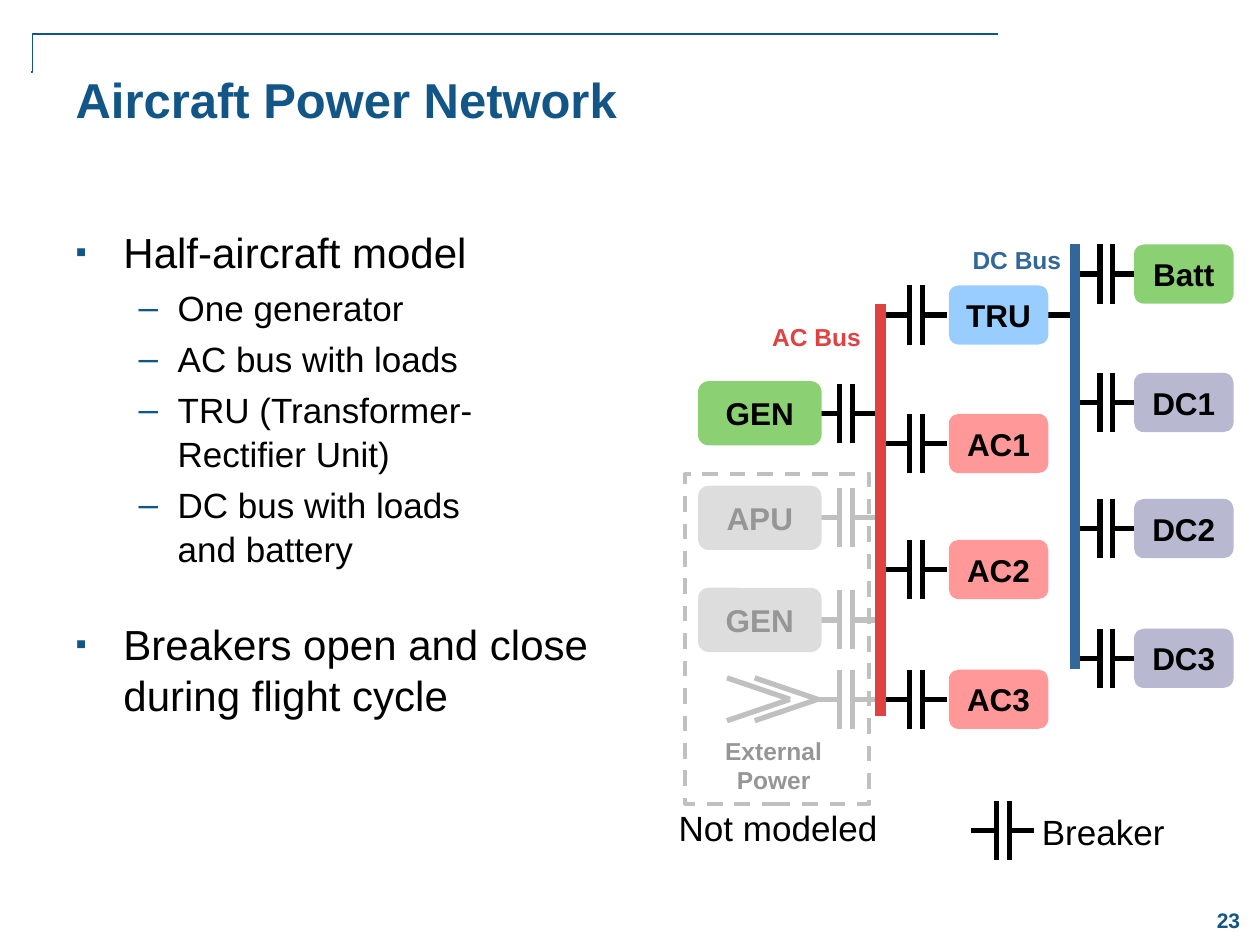
"""Build the aircraft power network slide on a grid of 100 columns by 75 rows."""
from dataclasses import dataclass
from typing import NamedTuple

from lxml.etree import SubElement
from pptx import Presentation
from pptx.dml.color import RGBColor
from pptx.enum.dml import MSO_LINE
from pptx.enum.shapes import MSO_CONNECTOR as Connector, MSO_SHAPE as Shape
from pptx.enum.text import MSO_ANCHOR as Anchor, MSO_AUTO_SIZE as AutoSize, PP_ALIGN as Align
from pptx.oxml.ns import qn
from pptx.util import Inches, Pt


@dataclass(frozen=True)
class Theme:
    font: str = "Arial"
    accent: str = "125687"
    ink: str = "000000"
    muted_line: str = "C0C0C0"
    muted_fill: str = "DDDDDD"
    muted_text: str = "969696"
    source: str = "8BD072"
    converter: str = "9ACDFF"
    ac_load: str = "FF9999"
    dc_load: str = "B8B8D0"
    ac_bus: str = "E04242"
    dc_bus: str = "336699"
    title: float = 28
    point: float = 24
    detail: float = 20
    unit: float = 18
    label: float = 14
    number: float = 12
    wire: float = 3
    bus: float = 6


class Area(NamedTuple):
    column: float
    row: float
    columns: float
    rows: float


class Unit(NamedTuple):
    name: str
    row: float
    fill: str
    ink: str = "000000"
    wire: str = "000000"


class Point(NamedTuple):
    words: str
    detail: bool = True
    before: float = 4


class Label(NamedTuple):
    words: str
    area: Area
    size: float
    color: str
    bold: bool = False
    align: Align = Align.LEFT


THEME = Theme()
COLUMNS, ROWS = 100, 75
TITLE_AREA = Area(5, 5, 88.3, 10.8)
BODY_AREA = Area(5, 17.5, 88.3, 50.8)
NUMBER_AREA = Area(95, 70.9, 5, 4.2)
UNMODELED_AREA = Area(54.4, 37.6, 14.6, 26.2)
LEAD, GAP, PLATE = 2, 1, 2.35
SOURCE_COLUMN, SOURCE_WIDTH, SOURCE_HEIGHT = 55.4, 9.8, 5.1
LOAD_WIDTH, LOAD_HEIGHT = 7.9, 4.7
SOURCE_BREAKER, AC_BREAKER, DC_BREAKER = 64.65, 70.2, 85.3
AC_COLUMN, DC_COLUMN = 75.3, 90
AC_BUS, DC_BUS = 69.9, 85.3
AC_ROWS = (25, 35.2, 45.2, 55.5)
DC_RISE = 3.25
EXTERNAL_ROW = AC_ROWS[-1]

POINTS = (
    Point("Half-aircraft model", False, 0),
    Point("One generator"),
    Point("AC bus with loads"),
    Point("TRU (Transformer-\vRectifier Unit)"),
    Point("DC bus with loads\vand battery"),
    Point("Breakers open and close\vduring flight cycle", False, 28),
)
MUTED = (THEME.muted_fill, THEME.muted_text, THEME.muted_line)
SOURCES = (
    Unit("GEN", 49.2, *MUTED),
    Unit("APU", 41.1, *MUTED),
    Unit("GEN", 32.8, THEME.source),
)
AC_UNITS = [
    Unit(name, row, THEME.converter if name == "TRU" else THEME.ac_load)
    for name, row in zip(("TRU", "AC1", "AC2", "AC3"), AC_ROWS)
]
DC_UNITS = [
    Unit(name, row - DC_RISE, THEME.source if name == "Batt" else THEME.dc_load)
    for name, row in zip(("Batt", "DC1", "DC2", "DC3"), AC_ROWS)
]
LABELS = (
    Label("23", NUMBER_AREA, THEME.number, THEME.accent, True, Align.CENTER),
    Label("Breaker", Area(81.7, 63.8, 11.8, 4.4), THEME.detail, THEME.ink),
    Label("External\vPower", Area(56.5, 57.9, 9.8, 5.7), THEME.label,
          THEME.muted_text, True, Align.CENTER),
    Label("Not modeled", Area(52.8, 63.5, 17.9, 4.4), THEME.detail, THEME.ink,
          False, Align.CENTER),
    Label("AC Bus", Area(60.3, 25, 9.1, 3.4), THEME.label, THEME.ac_bus, True),
    Label("DC Bus", Area(76.2, 18.9, 9.1, 3.4), THEME.label, THEME.dc_bus, True),
)

deck = Presentation()
deck.slide_width, deck.slide_height = Inches(10), Inches(7.5)
page = deck.slides.add_slide(deck.slide_layouts[1])


def grid(*lengths: float) -> list[int]:
    """Turn grid lengths into slide lengths."""
    return [round(deck.slide_width * length / COLUMNS) for length in lengths]


def style(para, size: float, color: str, bold: bool = False, align=Align.LEFT) -> None:
    """Format a paragraph and all its runs."""
    para.alignment = align
    for span in para.runs:
        span.font.name, span.font.size, span.font.bold = THEME.font, Pt(size), bold
        span.font.color.rgb = RGBColor.from_string(color)


def draw_line(start: tuple, end: tuple, color: str, width: float = THEME.wire,
              kind=Connector.STRAIGHT):
    """Draw a connector between two grid points."""
    line = page.shapes.add_connector(kind, *grid(*start, *end))
    line.line.color.rgb, line.line.width = RGBColor.from_string(color), Pt(width)
    SubElement(line._element.spPr, qn("a:effectLst"))
    return line


def draw_breaker(column: float, row: float, color: str) -> None:
    """Draw two leads and two plates from a left end."""
    for lead, plate in ((column, column + LEAD), (column + 2 * LEAD + GAP, column + LEAD + GAP)):
        draw_line((lead, row), (plate, row), color)
        draw_line((plate, row - PLATE), (plate, row + PLATE), color)


def draw_unit(unit: Unit, column: float, columns: float, rows: float) -> None:
    """Draw a named rounded box centred on its row."""
    area = Area(column, unit.row - rows / 2, columns, rows)
    box = page.shapes.add_shape(Shape.ROUNDED_RECTANGLE, *grid(*area))
    box.shadow.inherit = False
    box.fill.solid()
    box.fill.fore_color.rgb = RGBColor.from_string(unit.fill)
    box.line.fill.background()
    frame = box.text_frame
    frame.margin_left = frame.margin_right = Inches(0.04)
    frame.vertical_anchor = Anchor.MIDDLE
    frame.text = unit.name
    style(frame.paragraphs[0], THEME.unit, unit.ink, True, Align.CENTER)


def draw_label(label: Label) -> None:
    """Write a free-standing label."""
    frame = page.shapes.add_textbox(*grid(*label.area)).text_frame
    frame.word_wrap = False
    frame.vertical_anchor = Anchor.MIDDLE
    frame.paragraphs[0].text = label.words
    style(frame.paragraphs[0], label.size, label.color, label.bold, label.align)


def place(holder, area: Area):
    """Move a placeholder and return its text frame."""
    holder.left, holder.top, holder.width, holder.height = grid(*area)
    frame = holder.text_frame
    frame.auto_size, frame.vertical_anchor = AutoSize.NONE, Anchor.TOP
    return frame


def write_point(para, point: Point) -> None:
    """Write one bulleted line of the list."""
    para.text, para.level = point.words, int(point.detail)
    para.space_before = Pt(point.before)
    para.line_spacing = 1.05 if point.detail else 1.0
    margin, hang = (0.81, 0.31) if point.detail else (0.38, 0.38)
    props = para._p.get_or_add_pPr()
    props.set("marL", str(Inches(margin)))
    props.set("indent", str(-Inches(hang)))
    SubElement(SubElement(props, qn("a:buClr")), qn("a:srgbClr"), val=THEME.accent)
    SubElement(props, qn("a:buSzPct"), val="100000" if point.detail else "75000")
    SubElement(props, qn("a:buFont"), typeface=THEME.font)
    SubElement(props, qn("a:buChar"), char="–" if point.detail else "▪")
    style(para, THEME.detail if point.detail else THEME.point, THEME.ink)


def draw_text() -> None:
    """Fill the title and the list, with the corner rule above."""
    rule = draw_line((79.2, 2.7), (2.5, 5.7), THEME.accent, 1, Connector.ELBOW)
    adjust = rule._element.spPr.find(qn("a:prstGeom")).get_or_add_avLst()
    SubElement(adjust, qn("a:gd"), name="adj1", fmla="val 99900")
    title = place(page.shapes.title, TITLE_AREA)
    title.text = "Aircraft Power Network"
    style(title.paragraphs[0], THEME.title, THEME.accent, True)
    body = place(page.placeholders[1], BODY_AREA)
    for index, point in enumerate(POINTS):
        write_point(body.add_paragraph() if index else body.paragraphs[0], point)


def draw_network() -> None:
    """Draw sources, loads, breakers and buses."""
    draw_breaker(77.1, 65.9, THEME.ink)
    draw_breaker(SOURCE_BREAKER, EXTERNAL_ROW, THEME.muted_line)
    for tail in (57.7, 59.9):
        for rise in (-1.7, 1.7):
            draw_line((tail, EXTERNAL_ROW + rise), (tail + 5, EXTERNAL_ROW), THEME.muted_line)
    draw_line((AC_COLUMN + LOAD_WIDTH, AC_ROWS[0]), (DC_BUS, AC_ROWS[0]), THEME.ink)
    for units, breaker, *size in (
        (SOURCES, SOURCE_BREAKER, SOURCE_COLUMN, SOURCE_WIDTH, SOURCE_HEIGHT),
        (AC_UNITS, AC_BREAKER, AC_COLUMN, LOAD_WIDTH, LOAD_HEIGHT),
        (DC_UNITS, DC_BREAKER, DC_COLUMN, LOAD_WIDTH, LOAD_HEIGHT),
    ):
        for unit in units:
            draw_breaker(breaker, unit.row, unit.wire)
            draw_unit(unit, *size)
    frame = page.shapes.add_shape(Shape.RECTANGLE, *grid(*UNMODELED_AREA))
    frame.shadow.inherit = False
    frame.fill.background()
    frame.line.color.rgb = RGBColor.from_string(THEME.muted_line)
    frame.line.width, frame.line.dash_style = Pt(2.25), MSO_LINE.DASH
    draw_line((DC_BUS, 53.1), (DC_BUS, 19.4), THEME.dc_bus, THEME.bus)
    draw_line((AC_BUS, 56.8), (AC_BUS, 24.1), THEME.ac_bus, THEME.bus)


def main() -> None:
    """Build and save the slide."""
    draw_text()
    draw_network()
    for label in LABELS:
        draw_label(label)
    deck.save("out.pptx")


if __name__ == "__main__":
    main()
